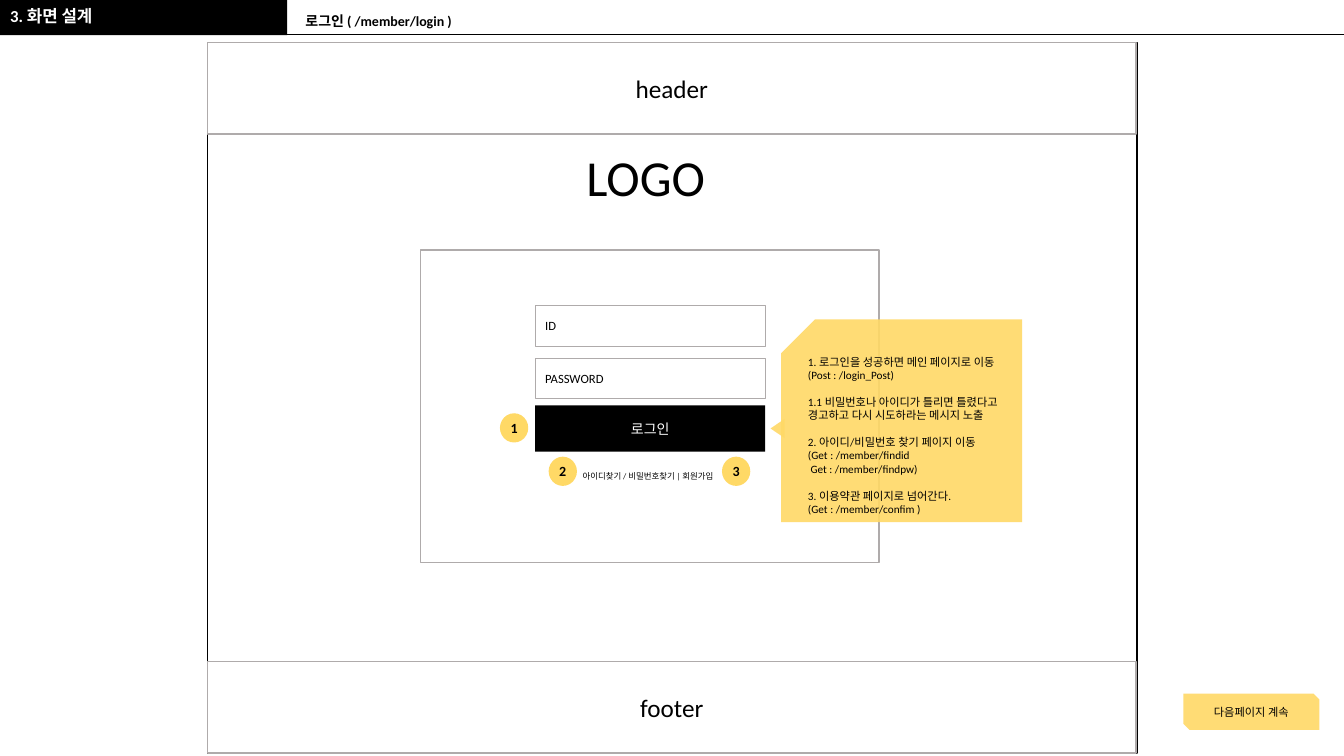
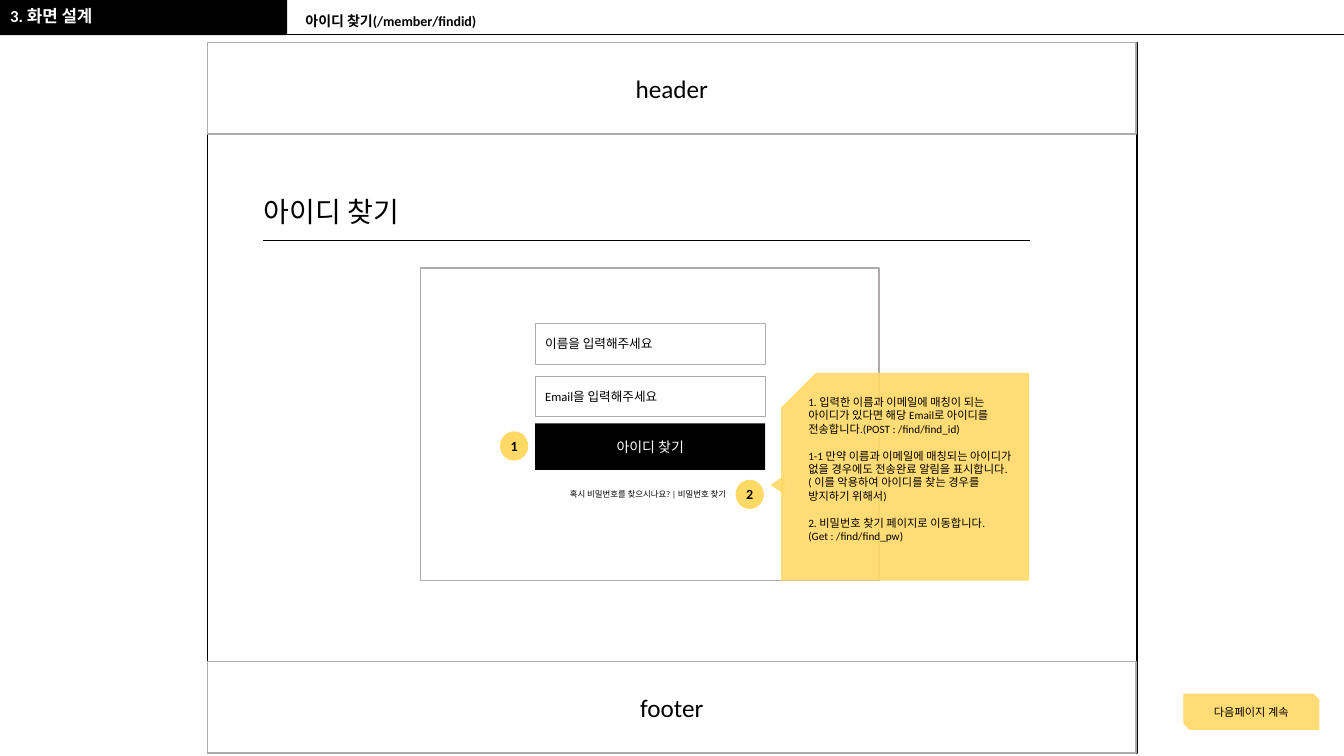
from dataclasses import dataclass
from typing import Any, NamedTuple

from lxml import etree
from pptx import Presentation
from pptx.dml.color import RGBColor
from pptx.enum.shapes import MSO_CONNECTOR, MSO_SHAPE
from pptx.enum.text import MSO_ANCHOR, MSO_AUTO_SIZE, PP_ALIGN
from pptx.oxml.ns import qn
from pptx.util import Pt

RECTANGLE, OVAL, TRIANGLE = MSO_SHAPE.RECTANGLE, MSO_SHAPE.OVAL, MSO_SHAPE.ISOSCELES_TRIANGLE
SNIPPED, DOUBLE_SNIPPED = MSO_SHAPE.SNIP_1_RECTANGLE, MSO_SHAPE.SNIP_2_DIAG_RECTANGLE
STRAIGHT = MSO_CONNECTOR.STRAIGHT
LEFT, CENTER = PP_ALIGN.LEFT, PP_ALIGN.CENTER
TOP, MIDDLE = MSO_ANCHOR.TOP, MSO_ANCHOR.MIDDLE
FIXED = MSO_AUTO_SIZE.NONE


@dataclass(frozen=True)
class Theme:
    font: str = "Calibri"
    black: RGBColor = RGBColor(0x00, 0x00, 0x00)
    white: RGBColor = RGBColor(0xFF, 0xFF, 0xFF)
    gray: RGBColor = RGBColor(0xAF, 0xAB, 0xAB)
    yellow: RGBColor = RGBColor(0xFF, 0xD9, 0x66)
    note_opacity: int = 90
    link_size: float = 6
    note_size: float = 8
    field_size: float = 9
    label_size: float = 10
    section_size: float = 12
    bar_size: float = 18
    heading_size: float = 20
    logo_size: float = 36


class Box(NamedTuple):
    left: float
    top: float
    width: float
    height: float

    def lengths(self) -> list[Pt]:
        return [Pt(value) for value in self]


class Edge(NamedTuple):
    color: RGBColor
    width: float


class Type(NamedTuple):
    size: float
    color: RGBColor
    align: PP_ALIGN = CENTER
    bold: bool = False


class NoteLine(NamedTuple):
    text: str
    gap: float = 0
    indent: float = 0


class Badge(NamedTuple):
    number: str
    left: float
    drop: float


class Heading(NamedTuple):
    text: str
    box: Box
    size: float
    ruled: bool


@dataclass(frozen=True)
class Screen:
    route: str
    heading: Heading
    form_top: float
    fields: list[str]
    button: str
    links: str
    badges: list[Badge]
    note: Box
    note_inset: float
    pointer_top: float
    note_lines: list[NoteLine]


THEME = Theme()
SLIDE_WIDTH, SLIDE_HEIGHT = 960, 540
SECTION = "3. 화면 설계"
SECTION_BOX = Box(0, 2.2, 205.2, 23)
ROUTE_BOX = Box(211, 6.5, 617, 18.7)
BAND = Box(0, 0, 205.2, 25.2)
BAND_RULE = (198.7, 24.5)
FRAME = Box(148.3, 30.2, 663.8, 507.6)
BAR_HEIGHT = 65.5
FORM_LEFT, FORM_WIDTH, FORM_HEIGHT = 300.2, 327.6, 223.2
FIELD_LEFT, FIELD_WIDTH, FIELD_HEIGHT = 382.3, 164.2, 29
FIELD_DROP, FIELD_PITCH = 39.6, 37.4
BUTTON_DROP, BUTTON_HEIGHT = 111, 33.1
LINKS_DROP = 154.1
BADGE_WIDTH, BADGE_HEIGHT = 20.2, 20.9
NEXT_BOX = Box(845.3, 495.4, 97.2, 25.9)
PARAGRAPH_GAP = 9.6

SCREENS = [
    Screen(
        route="로그인 ( /member/login )",
        heading=Heading("LOGO", Box(411.8, 100.8, 102.2, 51.1), THEME.logo_size, False),
        form_top=178.6,
        fields=["ID", "PASSWORD"],
        button="로그인",
        links="아이디찾기 / 비밀번호찾기 | 회원가입",
        badges=[Badge("1", 357.1, 116.6), Badge("2", 391.9, 147.6), Badge("3", 515.7, 147.6)],
        note=Box(558, 228.2, 172.1, 144.7),
        note_inset=13.2,
        pointer_top=301,
        note_lines=[
            NoteLine("1. 로그인을 성공하면 메인 페이지로 이동"),
            NoteLine("(Post : /login_Post)"),
            NoteLine("1.1 비밀번호나 아이디가 틀리면 틀렸다고 경고하고 다시 시도하라는 메시지 노출",
                     PARAGRAPH_GAP),
            NoteLine("2. 아이디/비밀번호 찾기 페이지 이동", PARAGRAPH_GAP),
            NoteLine("(Get : /member/findid"),
            NoteLine("Get : /member/findpw)", indent=1.8),
            NoteLine("3. 이용약관 페이지로 넘어간다.", PARAGRAPH_GAP),
            NoteLine("(Get : /member/confim )"),
        ],
    ),
    Screen(
        route="아이디 찾기(/member/findid)",
        heading=Heading("아이디 찾기", Box(181.4, 135.4, 280.8, 31.7), THEME.heading_size, True),
        form_top=191.5,
        fields=["이름을 입력해주세요", "Email을 입력해주세요"],
        button="아이디 찾기",
        links="혹시 비밀번호를 찾으시나요? | 비밀번호 찾기",
        badges=[Badge("1", 357.1, 116.6), Badge("2", 525.4, 151.2)],
        note=Box(558, 266.4, 177.1, 148.3),
        note_inset=3.6,
        pointer_top=341.3,
        note_lines=[
            NoteLine("1. 입력한 이름과 이메일에 매칭이 되는 아이디가 있다면 해당 Email로 아이디를 "
                     "전송합니다.(POST : /find/find_id)"),
            NoteLine("1-1 만약 이름과 이메일에 매칭되는 아이디가 없을 경우에도 전송완료 알림을 "
                     "표시합니다.( 이를 악용하여 아이디를 찾는 경우를 방지하기 위해서)", PARAGRAPH_GAP),
            NoteLine("2. 비밀번호 찾기 페이지로 이동합니다. (Get : /find/find_pw)", PARAGRAPH_GAP),
        ],
    ),
]


def assign(target: Any, values: dict[str, Any]) -> None:
    for name, value in values.items():
        setattr(target, name, value)


def style_paragraph(paragraph, text: str, style: Type) -> None:
    paragraph.text = text
    paragraph.alignment = style.align
    font = paragraph.runs[0].font
    assign(font, {"name": THEME.font, "size": Pt(style.size), "bold": style.bold})
    font.color.rgb = style.color


def add_box(slide, kind: MSO_SHAPE, box: Box, fill: RGBColor, edge: Edge | None = None,
            text: str = "", style: Type | None = None):
    shape = slide.shapes.add_shape(kind, *box.lengths())
    shape.shadow.inherit = False
    shape.fill.solid()
    shape.fill.fore_color.rgb = fill
    if edge:
        shape.line.color.rgb = edge.color
        shape.line.width = Pt(edge.width)
    else:
        shape.line.fill.background()
    if style:
        assign(shape.text_frame, {"vertical_anchor": MIDDLE, "word_wrap": True})
        style_paragraph(shape.text_frame.paragraphs[0], text, style)
    return shape


def add_label(slide, box: Box, text: str, style: Type) -> None:
    label = slide.shapes.add_textbox(*box.lengths())
    label.text_frame.word_wrap = True
    style_paragraph(label.text_frame.paragraphs[0], text, style)


def add_rule(slide, left: float, right: float, y: float):
    rule = slide.shapes.add_connector(STRAIGHT, Pt(left), Pt(y), Pt(right), Pt(y))
    rule.line.color.rgb = THEME.black
    rule.line.width = Pt(0.5)
    etree.SubElement(rule.element.spPr, qn("a:effectLst"))
    return rule


def make_translucent(shape) -> None:
    color = shape.element.spPr.find(".//" + qn("a:srgbClr"))
    etree.SubElement(color, qn("a:alpha"), val=str(THEME.note_opacity * 1000))


def furnish_layout(layout, slide) -> None:
    """Keep only title and body on the layout and move the top band onto it."""
    for placeholder in list(layout.placeholders):
        if placeholder.placeholder_format.idx > 1:
            placeholder.element.getparent().remove(placeholder.element)
    band = add_box(slide, RECTANGLE, BAND, THEME.black)
    rule_left, rule_y = BAND_RULE
    rule = add_rule(slide, rule_left, SLIDE_WIDTH, rule_y)
    for shape in (band, rule):
        layout.shapes.element.append(shape.element)


def fill_placeholder(placeholder, box: Box, text: str, style: Type) -> None:
    assign(placeholder, dict(zip(("left", "top", "width", "height"), box.lengths())))
    frame = placeholder.text_frame
    assign(frame, {"vertical_anchor": TOP, "auto_size": FIXED, "word_wrap": True})
    paragraph = frame.paragraphs[0]
    properties = paragraph._p.get_or_add_pPr()
    properties.set("marL", "0")
    properties.set("indent", "0")
    etree.SubElement(properties, qn("a:buNone"))
    assign(paragraph, {"line_spacing": 0.9, "space_before": Pt(0)})
    style_paragraph(paragraph, text, style)


def draw_page_frame(slide) -> None:
    add_box(slide, RECTANGLE, FRAME, THEME.white, Edge(THEME.black, 1))
    footer_top = FRAME.top + FRAME.height - BAR_HEIGHT
    for name, top in (("header", FRAME.top), ("footer", footer_top)):
        bar = Box(FRAME.left, top, FRAME.width - 0.7, BAR_HEIGHT)
        add_box(slide, RECTANGLE, bar, THEME.white, Edge(THEME.gray, 1), name,
                Type(THEME.bar_size, THEME.black))
    next_page = add_box(slide, DOUBLE_SNIPPED, NEXT_BOX, THEME.yellow, None, "다음페이지 계속",
                        Type(THEME.note_size, THEME.black))
    make_translucent(next_page)


def draw_heading(slide, heading: Heading) -> None:
    add_label(slide, heading.box, heading.text, Type(heading.size, THEME.black, LEFT))
    if heading.ruled:
        add_rule(slide, 187.9, 735.8, 171.4)


def draw_form(slide, screen: Screen) -> None:
    top = screen.form_top
    add_box(slide, RECTANGLE, Box(FORM_LEFT, top, FORM_WIDTH, FORM_HEIGHT), THEME.white,
            Edge(THEME.gray, 1))
    for row, prompt in enumerate(screen.fields):
        field_top = top + FIELD_DROP + row * FIELD_PITCH
        add_box(slide, RECTANGLE, Box(FIELD_LEFT, field_top, FIELD_WIDTH, FIELD_HEIGHT),
                THEME.white, Edge(THEME.gray, 0.25), prompt,
                Type(THEME.field_size, THEME.black, LEFT))
    add_box(slide, RECTANGLE, Box(FIELD_LEFT, top + BUTTON_DROP, FIELD_WIDTH, BUTTON_HEIGHT),
            THEME.black, None, screen.button, Type(THEME.label_size, THEME.white))
    add_label(slide, Box(393.8, top + LINKS_DROP, 138.2, 14.4), screen.links,
              Type(THEME.link_size, THEME.black))
    for badge in screen.badges:
        box = Box(badge.left, top + badge.drop, BADGE_WIDTH, BADGE_HEIGHT)
        circle = add_box(slide, OVAL, box, THEME.yellow, None, badge.number,
                         Type(THEME.label_size, THEME.black, bold=True))
        assign(circle.text_frame, {"margin_left": 0, "margin_right": 0, "margin_top": 0,
                                   "margin_bottom": 0, "word_wrap": False})


def draw_note(slide, screen: Screen) -> None:
    note = add_box(slide, SNIPPED, screen.note, THEME.yellow)
    note.element.spPr.find(qn("a:xfrm")).set("flipH", "1")
    pointer = add_box(slide, TRIANGLE, Box(548.6, screen.pointer_top, 13.7, 10.1), THEME.yellow)
    pointer.rotation = 270
    for part in (note, pointer):
        make_translucent(part)
    frame = note.text_frame
    assign(frame, {"vertical_anchor": TOP, "word_wrap": True,
                   "margin_top": Pt(screen.note_inset)})
    for index, line in enumerate(screen.note_lines):
        paragraph = frame.add_paragraph() if index else frame.paragraphs[0]
        paragraph._p.get_or_add_pPr().set("marL", str(Pt(line.indent)))
        paragraph.space_before = Pt(line.gap)
        style_paragraph(paragraph, line.text, Type(THEME.note_size, THEME.black, LEFT))


def main() -> None:
    deck = Presentation()
    deck.slide_width, deck.slide_height = Pt(SLIDE_WIDTH), Pt(SLIDE_HEIGHT)
    layout = deck.slide_layouts[1]
    for index, screen in enumerate(SCREENS):
        slide = deck.slides.add_slide(layout)
        if index == 0:
            furnish_layout(layout, slide)
        fill_placeholder(slide.shapes.title, ROUTE_BOX, screen.route,
                         Type(THEME.label_size, THEME.black, LEFT, True))
        fill_placeholder(slide.placeholders[1], SECTION_BOX, SECTION,
                         Type(THEME.section_size, THEME.white, LEFT, True))
        draw_page_frame(slide)
        draw_heading(slide, screen.heading)
        draw_form(slide, screen)
        draw_note(slide, screen)
    deck.save("out.pptx")


if __name__ == "__main__":
    main()
